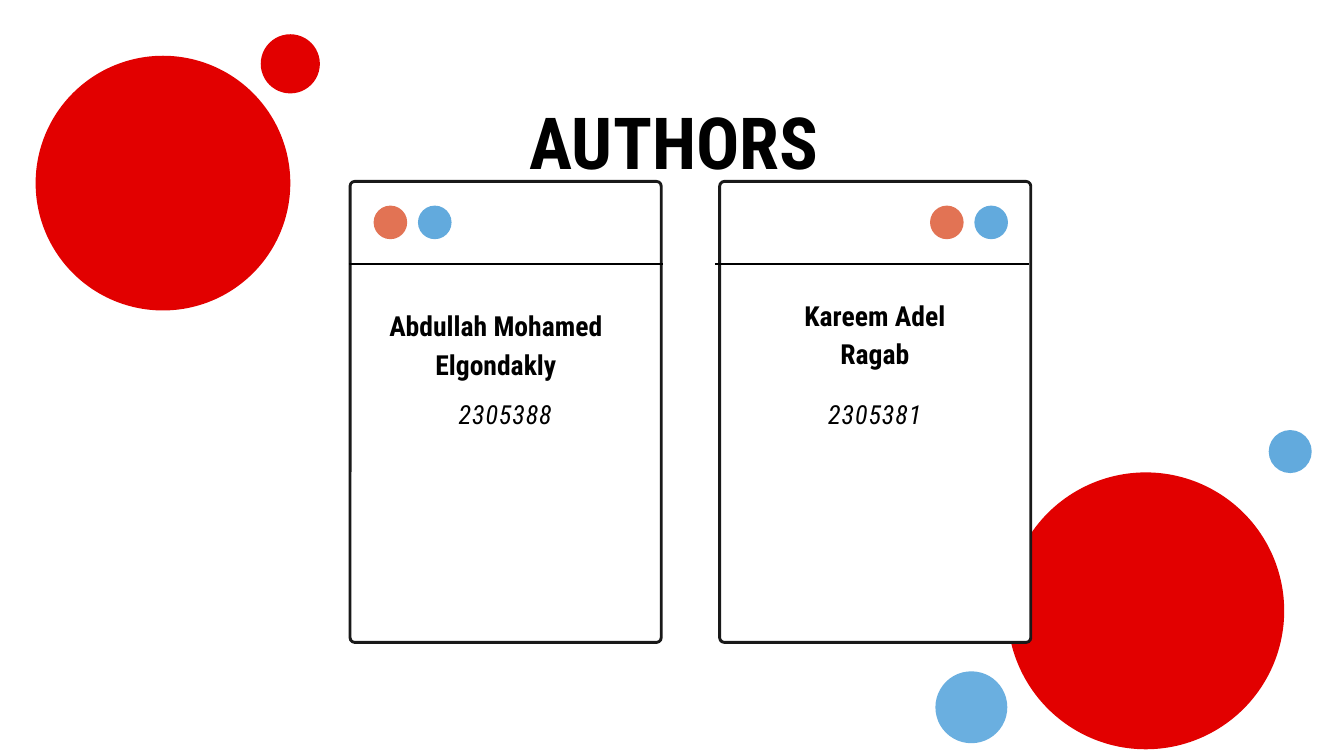
from pptx import Presentation
from pptx.dml.color import RGBColor
from pptx.enum import shapes, text
from pptx.oxml import ns
from pptx.util import Inches, Pt
from lxml import etree

RED = RGBColor(0xE2, 0x00, 0x00)
BLUE = RGBColor(0x62, 0xAA, 0xDD)
PALE_BLUE = RGBColor(0x6A, 0xAF, 0xE0)
ORANGE = RGBColor(0xE2, 0x73, 0x54)
INK = RGBColor(0x19, 0x19, 0x19)
BLACK = RGBColor(0x00, 0x00, 0x00)
WHITE = RGBColor(0xFF, 0xFF, 0xFF)

TITLE = dict(size=Pt(77), bold=True)
NAME = dict(size=Pt(29.6), bold=True)
NUMBER = dict(size=Pt(28.1), italic=True)

CIRCLES = [
    (13.92, 9.99, 1.07, PALE_BLUE),
    (0.53, 0.83, 3.79, RED),
    (18.88, 6.4, 0.64, BLUE),
    (3.88, 0.51, 0.88, RED),
    (14.99, 7.03, 4.12, RED),
]
CARD_TOP, CARD_W, CARD_H = 2.7, 4.63, 6.86
CARDS = [
    dict(left=5.21, dots=0.35, rule=-0.02, name_at=(0.21, 1.82),
         lines=["Abdullah Mohamed Elgondakly"], number="2305388"),
    dict(left=10.71, dots=3.13, rule=-0.07, name_at=(0.35, 1.66),
         lines=["Kareem Adel", "Ragab"], number="2305381"),
]


def write(sp, lines, spacing, fmt, tracking=None):
    """Fill a shape with centred lines in one format."""
    tf = sp.text_frame
    tf.word_wrap = True
    tf.auto_size = text.MSO_AUTO_SIZE.NONE
    tf.vertical_anchor = text.MSO_ANCHOR.TOP
    tf.margin_left = tf.margin_right = tf.margin_top = tf.margin_bottom = 0
    for i, line in enumerate(lines):
        p = tf.add_paragraph() if i else tf.paragraphs[0]
        p.alignment = text.PP_ALIGN.CENTER
        p.line_spacing = Pt(spacing)
        p.space_before = Pt(0)
        r = p.add_run()
        r.text = line
        for key, value in dict(fmt, name="Roboto Condensed").items():
            setattr(r.font, key, value)
        r.font.color.rgb = BLACK
        if tracking:
            r.font._element.set("spc", str(tracking))


def add_text(s, left, top, width, height, *args):
    """Add a text box and write into it."""
    box = [Inches(v) for v in (left, top, width, height)]
    write(s.shapes.add_textbox(*box), *args)


def add_circle(s, left, top, size, color):
    """Add a plain filled circle."""
    sp = s.shapes.add_shape(shapes.MSO_SHAPE.OVAL, Inches(left), Inches(top),
                            Inches(size), Inches(size))
    sp.shadow.inherit = False
    sp.fill.solid()
    sp.fill.fore_color.rgb = color
    sp.line.fill.background()


def add_rule(s, left, top, width):
    """Add a horizontal black line."""
    line = s.shapes.add_connector(shapes.MSO_CONNECTOR.STRAIGHT, Inches(left),
                                  Inches(top), Inches(left + width), Inches(top))
    line.line.color.rgb = BLACK
    line.line.width = Pt(3)
    etree.SubElement(line._element.spPr, ns.qn("a:effectLst"))


def add_card(s, left, top, width, height, dots, rule, name_at, lines, number):
    """Draw one author's window card within the given box."""
    sp = s.shapes.add_shape(shapes.MSO_SHAPE.ROUNDED_RECTANGLE, Inches(left),
                            Inches(top), Inches(width), Inches(height))
    sp.adjustments[0] = 0.07 / width
    sp.shadow.inherit = False
    sp.fill.solid()
    sp.fill.fore_color.rgb = WHITE
    sp.line.color.rgb = INK
    sp.line.width = Pt(3.1)
    for i, color in enumerate((ORANGE, BLUE)):
        add_circle(s, left + dots + i * 0.66, top + 0.36, 0.5, color)
    add_rule(s, left + rule, top + 1.23, 4.68)
    dx, dy = name_at
    add_text(s, left + dx, top + dy, 3.92, 1.13, lines, 41.4, NAME)
    add_text(s, left + 0.35, top + 3.14, 3.92, 0.53, [number], 39.5, NUMBER, 100)


def add_title(s, left, top, width, height):
    """Place the slide title in its placeholder."""
    sp = s.shapes.title
    sp.left, sp.top, sp.width, sp.height = (
        Inches(v) for v in (left, top, width, height))
    write(sp, ["AUTHORS"], 107.8, TITLE)


def main():
    """Build the authors slide."""
    prs = Presentation()
    prs.slide_width, prs.slide_height = Inches(20), Inches(11.25)
    s = prs.slides.add_slide(prs.slide_layouts[5])
    add_title(s, 5.82, 1.24, 8.42, 1.44)
    for circle in CIRCLES:
        add_circle(s, *circle)
    for card in CARDS:
        add_card(s, top=CARD_TOP, width=CARD_W, height=CARD_H, **card)
    prs.save("out.pptx")


if __name__ == "__main__":
    main()
